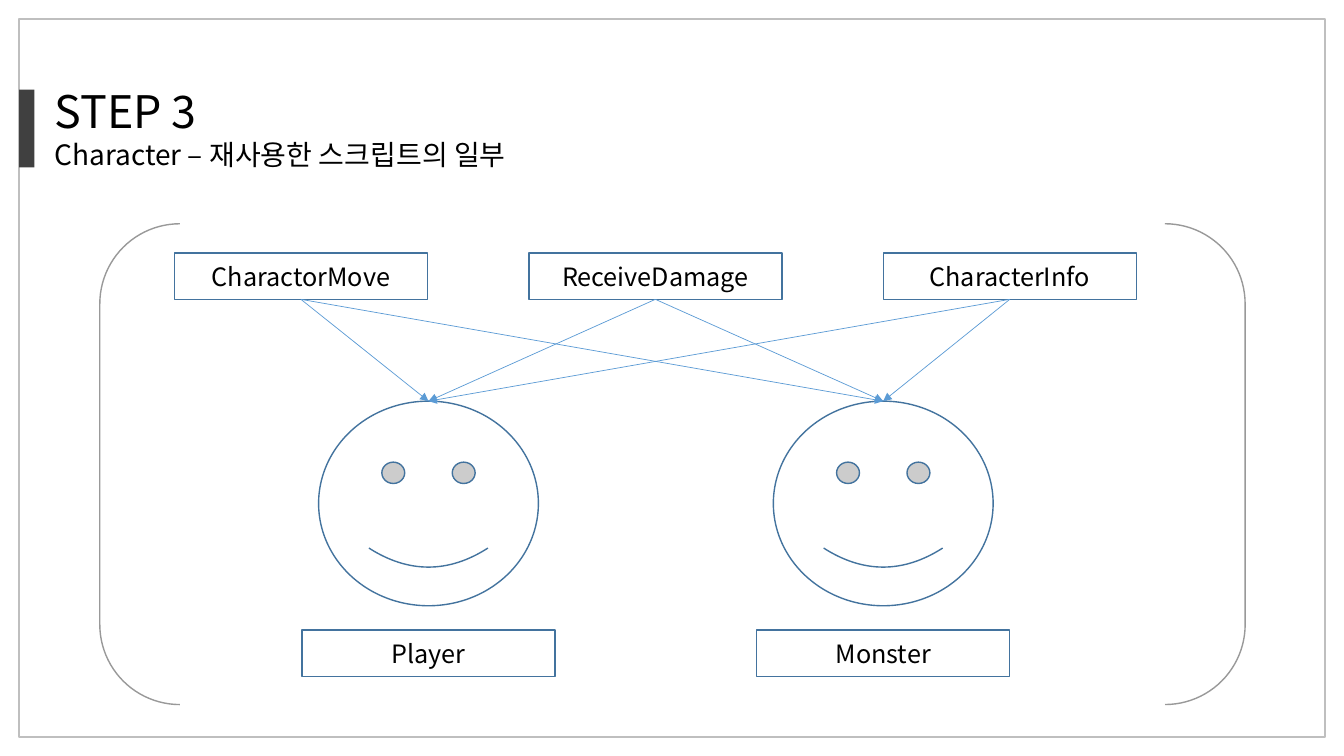
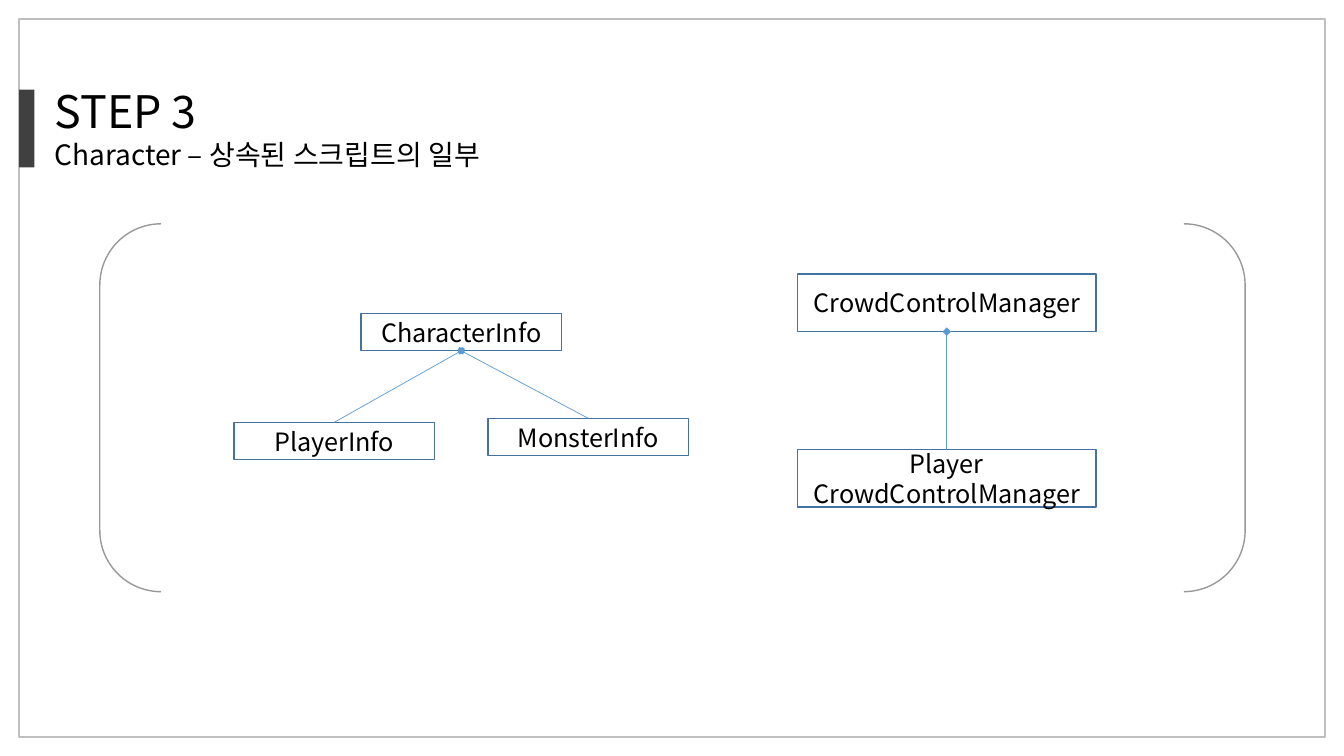
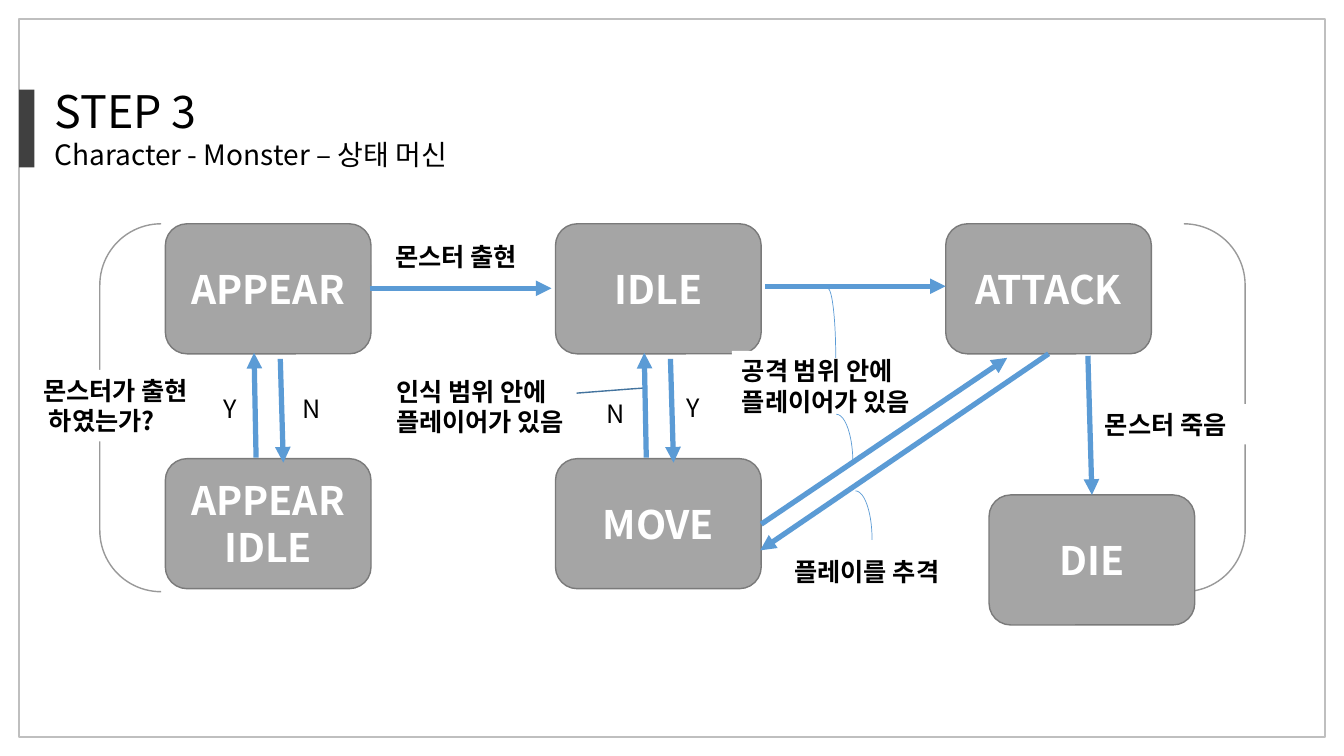
from itertools import product

from lxml.etree import SubElement
from pptx import Presentation
from pptx.dml.color import RGBColor
from pptx.enum.shapes import MSO_CONNECTOR, MSO_SHAPE
from pptx.enum.text import MSO_ANCHOR, MSO_AUTO_SIZE, PP_ALIGN
from pptx.oxml.ns import qn
from pptx.util import Inches, Pt

FONT = "Noto Sans CJK KR"
COLORS = {
    "ink": "000000",
    "paper": "FFFFFF",
    "frame": "BFBFBF",
    "marker": "404040",
    "bracket": "808080",
    "outline": "43739E",
    "arrow": "5B9BD5",
    "state": "A5A5A5",
    "state edge": "7A7A7A",
}
WIDTH, HEIGHT = 13.33, 7.5
MARGIN = 0.19
THIN, THICK = 0.5, 3.75


def write(frame, lines, sizes, color="ink", bold=False, align=PP_ALIGN.LEFT):
    """Put one paragraph per line into the frame, each with its own size."""
    for number, (line, size) in enumerate(zip(lines, sizes)):
        paragraph = frame.add_paragraph() if number else frame.paragraphs[0]
        paragraph.alignment = align
        run = paragraph.add_run()
        run.text = line
        run.font.size = Pt(size)
        run.font.bold = bold
        run.font.color.rgb = RGBColor.from_string(COLORS[color])
        run.font.name = FONT
        SubElement(run.font._element, qn("a:ea"), typeface=FONT)


def draw(slide, outline, place, fill=None, line=None, weight=1, text="", size=18,
         color="ink", bold=False):
    """Add a preset shape at (left, top, width, height) with centred text."""
    shape = slide.shapes.add_shape(outline, *map(Inches, place))
    shape.shadow.inherit = False
    if fill:
        shape.fill.solid()
        shape.fill.fore_color.rgb = RGBColor.from_string(COLORS[fill])
    else:
        shape.fill.background()
    if line:
        shape.line.color.rgb = RGBColor.from_string(COLORS[line])
        shape.line.width = Pt(weight)
    else:
        shape.line.fill.background()
    if text:
        lines = text.split("\n")
        shape.text_frame.vertical_anchor = MSO_ANCHOR.MIDDLE
        write(shape.text_frame, lines, [size] * len(lines), color, bold, PP_ALIGN.CENTER)
    return shape


deck = Presentation()
deck.slide_width, deck.slide_height = Inches(WIDTH), Inches(HEIGHT)
layout = deck.slide_layouts[5]
heading = layout.placeholders[0]
heading.left, heading.top = Inches(0.44), Inches(0.78)
heading.width, heading.height = Inches(5.31), Inches(0.98)

# Frame, marker, heading and brackets shared by every slide
slides = []
for subtitle, bracket_height in [
    ("Character – 재사용한 스크립트의 일부", 4.77),
    ("Character – 상속된 스크립트의 일부", 3.65),
    ("Character - Monster – 상태 머신", 3.65),
]:
    slide = deck.slides.add_slide(layout)
    title = slide.shapes.title.text_frame
    title.auto_size = MSO_AUTO_SIZE.NONE
    title.word_wrap = True
    title.vertical_anchor = MSO_ANCHOR.TOP
    write(title, ["STEP 3", subtitle], [32, 20])
    draw(slide, MSO_SHAPE.RECTANGLE,
         (MARGIN, MARGIN, WIDTH - 2 * MARGIN, HEIGHT - 2 * MARGIN), line="frame")
    draw(slide, MSO_SHAPE.RECTANGLE, (MARGIN, 0.89, 0.15, 0.77), fill="marker")
    bracket = draw(slide, MSO_SHAPE.DOUBLE_BRACKET, (0.99, 2.22, 11.36, bracket_height),
                   line="bracket")
    SubElement(bracket._element.spPr.find(".//" + qn("a:srgbClr")), qn("a:alpha"), val="80000")
    slides.append(slide)
reuse, inheritance, machine = slides

# Each route: slide, start, end, weight, marked end, mark
routes = []

# Scripts reused by both characters
BOX_WIDTH, BOX_HEIGHT = 2.51, 0.46
FACE_WIDTH, FACE_HEIGHT = 2.18, 2.03
scripts = [
    draw(reuse, MSO_SHAPE.RECTANGLE, (1.73 + 3.515 * column, 2.51, BOX_WIDTH, BOX_HEIGHT),
         "paper", "outline", text=name)
    for column, name in enumerate(["CharactorMove", "ReceiveDamage", "CharacterInfo"])
]
faces = []
for center, name in [(4.25, "Player"), (8.76, "Monster")]:
    faces.append(draw(reuse, MSO_SHAPE.SMILEY_FACE,
                      (center - FACE_WIDTH / 2, 3.98, FACE_WIDTH, FACE_HEIGHT),
                      "paper", "outline"))
    draw(reuse, MSO_SHAPE.RECTANGLE,
         (center - BOX_WIDTH / 2, 6.25, BOX_WIDTH, BOX_HEIGHT), "paper", "outline", text=name)
for script, face in product(scripts, faces):
    routes.append((reuse, script, face, THIN, "tailEnd", "triangle"))

# Inheritance trees: the parent comes first
for width, height, members in [
    (1.99, 0.37, [(3.58, 3.11, "CharacterInfo"), (2.32, 4.19, "PlayerInfo"),
                  (4.84, 4.15, "MonsterInfo")]),
    (2.96, 0.57, [(7.91, 2.72, "CrowdControlManager"),
                  (7.91, 4.46, "Player\nCrowdControlManager")]),
]:
    parent, *children = [
        draw(inheritance, MSO_SHAPE.RECTANGLE, (left, top, width, height),
             "paper", "outline", text=name)
        for left, top, name in members
    ]
    for child in children:
        routes.append((inheritance, parent, child, THIN, "headEnd", "diamond"))

# State machine
COLUMNS = [1.64 + 3.87 * column for column in range(3)]
ROWS = [2.22, 4.55]
for left, top, name in [
    (COLUMNS[0], ROWS[0], "APPEAR"),
    (COLUMNS[0], ROWS[1], "APPEAR\nIDLE"),
    (COLUMNS[1], ROWS[0], "IDLE"),
    (COLUMNS[1], ROWS[1], "MOVE"),
    (COLUMNS[2], ROWS[0], "ATTACK"),
    (9.81, 4.91, "DIE"),
]:
    draw(machine, MSO_SHAPE.ROUNDED_RECTANGLE, (left, top, 2.04, 1.29), "state", "state edge",
         text=name, size=28, color="paper", bold=True)

for left, top, width, condition in [
    (0.33, 3.67, 1.81, "몬스터가 출현\n 하였는가?"),
    (2.12, 3.85, 0.34, "Y"),
    (2.9, 3.85, 0.39, "N"),
    (3.82, 2.34, 1.55, "몬스터 출현"),
    (3.83, 3.68, 2.06, "인식 범위 안에\n플레이어가 있음"),
    (5.92, 3.9, 0.33, "N"),
    (6.71, 3.84, 0.34, "Y"),
    (7.26, 3.48, 2.06, "공격 범위 안에\n플레이어가 있음"),
    (7.78, 5.47, 1.81, "플레이를 추격"),
    (10.86, 4.01, 1.55, "몬스터 죽음"),
]:
    lines = condition.split("\n")
    label = machine.shapes.add_textbox(
        *map(Inches, (left, top, width, 0.4 if len(lines) == 1 else 0.71)))
    label.fill.solid()
    label.fill.fore_color.rgb = RGBColor.from_string(COLORS["paper"])
    label.text_frame.word_wrap = False
    label.text_frame.auto_size = MSO_AUTO_SIZE.SHAPE_TO_FIT_TEXT
    write(label.text_frame, lines, [18] * len(lines), bold=condition not in ("Y", "N"))

# Thin leaders from conditions to their transitions
for place in [(8.13, 2.86, 0.16, 1.38), (8.13, 4.11, 0.33, 0.97), (8.32, 4.87, 0.33, 0.97)]:
    draw(machine, MSO_SHAPE.ARC, place, line="arrow", weight=THIN)
builder = machine.shapes.build_freeform(Inches(5.72), Inches(3.9))
builder.add_line_segments(
    [(Inches(x), Inches(y)) for x, y in [(6.24, 3.86), (6.38, 3.85)]], close=False)
leader = builder.convert_to_shape()
leader.shadow.inherit = False
leader.fill.background()
leader.line.color.rgb = RGBColor.from_string(COLORS["outline"])
leader.line.width = Pt(1)

transitions = [
    ((3.67, 2.86), (5.47, 2.86)),
    ((7.59, 2.84), (9.38, 2.84)),
    ((7.55, 5.2), (9.99, 3.55)),
    ((10.4, 3.51), (7.54, 5.46)),
    ((10.79, 3.53), (10.83, 4.91)),
]
for left in COLUMNS[:2]:
    transitions += [((left + 0.9, 4.54), (left + 0.88, 3.5)),
                    ((left + 1.14, 3.56), (left + 1.17, 4.59))]
for start, end in transitions:
    routes.append((machine, start, end, THICK, "tailEnd", "triangle"))

# All connectors: between two points, or from a shape's bottom to another's top
for slide, start, end, weight, marked_end, mark in routes:
    between_points = isinstance(start, tuple)
    ends = (*start, *end) if between_points else (0, 0, 0, 0)
    connector = slide.shapes.add_connector(MSO_CONNECTOR.STRAIGHT, *map(Inches, ends))
    if not between_points:
        connector.begin_connect(start, 2)
        connector.end_connect(end, 0)
    connector.line.color.rgb = RGBColor.from_string(COLORS["arrow"])
    connector.line.width = Pt(weight)
    properties = connector._element.spPr
    SubElement(properties.find(qn("a:ln")), qn("a:" + marked_end), type=mark)
    SubElement(properties, qn("a:effectLst"))

deck.save("out.pptx")
